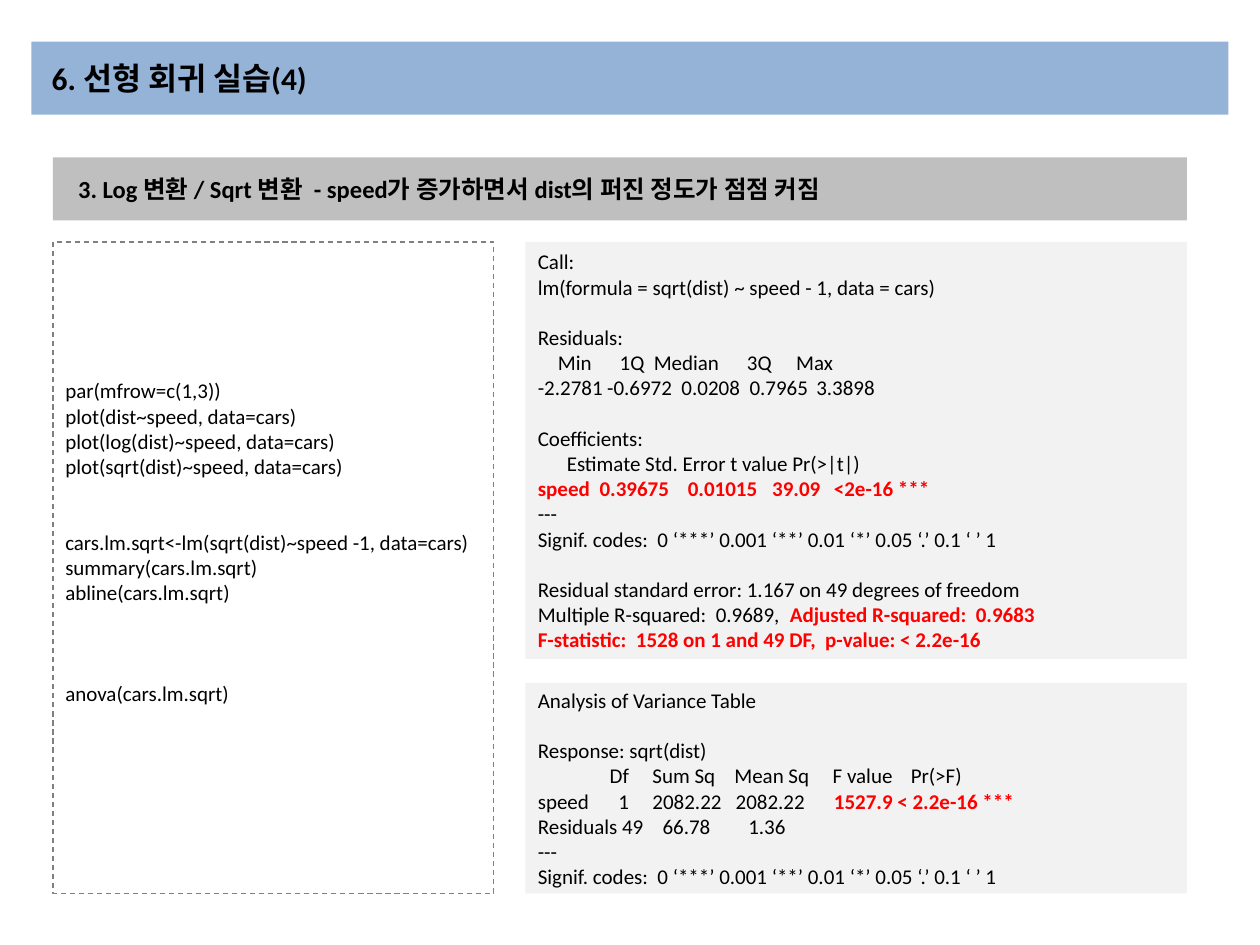
import pptx
import pptx.util
import pptx.dml.color
import pptx.enum.dml
import pptx.enum.shapes
import pptx.enum.text
import pptx.oxml.ns
import lxml.etree

Inches = pptx.util.Inches
Pt = pptx.util.Pt
RGBColor = pptx.dml.color.RGBColor
ANCHOR = pptx.enum.text.MSO_ANCHOR

BLUE = RGBColor(0x95, 0xB3, 0xD7)
SILVER = RGBColor(0xBF, 0xBF, 0xBF)
PALE = RGBColor(0xF2, 0xF2, 0xF2)
GRAY = RGBColor(0x80, 0x80, 0x80)
BLACK = RGBColor(0, 0, 0)
RED = RGBColor(0xFF, 0, 0)

LINE = 14.4  # height of one 12 pt line, in points
BODY = {"name": "Calibri", "size": Pt(12), "bold": False}
HEAD = {**BODY, "size": Pt(14), "bold": True}
TITLE = {**HEAD, "size": Pt(18)}
SIGNIF = "Signif. codes:  0 ‘***’ 0.001 ‘**’ 0.01 ‘*’ 0.05 ‘.’ 0.1 ‘ ’ 1"

# A line is (plain text, red text, tab stops); a number skips that many lines.
CODE = [
    ("par(mfrow=c(1,3))",),
    ("plot(dist~speed, data=cars)",),
    ("plot(log(dist)~speed, data=cars)",),
    ("plot(sqrt(dist)~speed, data=cars)",),
    2,
    ("cars.lm.sqrt<-lm(sqrt(dist)~speed -1, data=cars)",),
    ("summary(cars.lm.sqrt)",),
    ("abline(cars.lm.sqrt)",),
    3,
    ("anova(cars.lm.sqrt)",),
]
SUMMARY = [
    ("Call:",),
    ("lm(formula = sqrt(dist) ~ speed - 1, data = cars)",),
    1,
    ("Residuals:",),
    ("\tMin\t1Q\tMedian\t3Q\tMax", "", (0.16, 0.65, 0.92, 1.66, 2.05)),
    ("-2.2781\t-0.6972\t0.0208\t0.7965\t3.3898", "", (0.55, 1.14, 1.68, 2.21)),
    1,
    ("Coefficients:",),
    ("\tEstimate Std. Error t value Pr(>|t|)", "", (0.23,)),
    ("", "speed\t0.39675\t0.01015\t39.09\t<2e-16 ***", (0.49, 1.19, 1.86, 2.35)),
    ("---",),
    (SIGNIF,),
    1,
    ("Residual standard error: 1.167 on 49 degrees of freedom",),
    ("Multiple R-squared:  0.9689,\t", "Adjusted R-squared:  0.9683", (2,)),
    ("", "F-statistic:  1528 on 1 and 49 DF,  p-value: < 2.2e-16"),
]
ANOVA = [
    ("Analysis of Variance Table",),
    1,
    ("Response: sqrt(dist)",),
    ("\tDf\tSum Sq\tMean Sq\tF value\tPr(>F)", "", (0.57, 0.91, 1.56, 2.34, 2.96)),
    ("speed\t1\t2082.22\t2082.22\t", "1527.9 < 2.2e-16 ***", (0.64, 0.91, 1.57, 2.35)),
    ("Residuals 49\t66.78\t1.36", "", (0.99, 1.67)),
    ("---",),
    (SIGNIF,),
]


def add_tabs(para, stops):
    """Set left tab stops, in inches, on a paragraph."""
    qn = pptx.oxml.ns.qn
    tabs = lxml.etree.SubElement(para._p.get_or_add_pPr(), qn("a:tabLst"))
    for stop in stops:
        lxml.etree.SubElement(tabs, qn("a:tab"), pos=str(Inches(stop)), algn="l")


def add_run(para, text, style, color):
    run = para.add_run()
    run.text = text
    for key, value in style.items():
        setattr(run.font, key, value)
    run.font.color.rgb = color


def fill_text(frame, lines, style):
    """Write the lines, turning each skip into space before the next one."""
    para, skip = None, 0
    for line in lines:
        if isinstance(line, int):
            skip = line
            continue
        plain, red, stops = (line + ("", ()))[:3] if len(line) == 1 else (line + ((),))[:3]
        para = frame.add_paragraph() if para else frame.paragraphs[0]
        para.alignment = pptx.enum.text.PP_ALIGN.LEFT
        if skip:
            para.space_before = Pt(skip * LINE)
            skip = 0
        if stops:
            add_tabs(para, stops)
        for text, color in ((plain, BLACK), (red, RED)):
            if text:
                bold = style["bold"] or color == RED
                add_run(para, text, {**style, "bold": bold}, color)


def add_box(slide, box, lines, style, fill=None, **frame):
    """Add a rectangle with text; extra values go to its text frame."""
    rect = pptx.enum.shapes.MSO_SHAPE.RECTANGLE
    shape = slide.shapes.add_shape(rect, *map(Inches, box))
    shape.shadow.inherit = False
    shape.line.fill.background()
    if fill is None:
        shape.fill.background()
    else:
        shape.fill.solid()
        shape.fill.fore_color.rgb = fill
    base = {"word_wrap": True, "vertical_anchor": ANCHOR.MIDDLE}
    for key, value in {**base, **frame}.items():
        setattr(shape.text_frame, key, value)
    fill_text(shape.text_frame, lines, style)
    return shape


def add_title(slide, box):
    add_box(slide, box, [("6. 선형 회귀 실습(4)",)], TITLE, BLUE,
            margin_left=Inches(0.16))


def add_head(slide, box):
    text = "3. Log 변환 / Sqrt 변환  - speed가 증가하면서 dist의 퍼진 정도가 점점 커짐"
    add_box(slide, box, [(text,)], HEAD, SILVER, margin_left=Inches(0.2))


def add_code(slide, box):
    shape = add_box(slide, box, CODE, BODY, vertical_anchor=ANCHOR.TOP,
                    margin_top=Inches(1.08))
    shape.line.color.rgb = GRAY
    shape.line.width = Pt(0.75)
    shape.line.dash_style = pptx.enum.dml.MSO_LINE.DASH


def add_output(slide, box):
    """Stack the model summary above the variance table."""
    left, top, width, height = box
    upper, lower = 3.31, 1.67
    add_box(slide, (left, top, width, upper), SUMMARY, BODY, PALE)
    add_box(slide, (left, top + height - lower, width, lower), ANOVA, BODY, PALE)


def main():
    deck = pptx.Presentation()
    deck.slide_width, deck.slide_height = Inches(10), Inches(7.5)
    slide = deck.slides.add_slide(deck.slide_layouts[6])
    add_title(slide, (0.25, 0.33, 9.5, 0.58))
    add_code(slide, (0.42, 1.92, 3.5, 5.17))
    add_head(slide, (0.42, 1.25, 9, 0.5))
    add_output(slide, (4.17, 1.92, 5.25, 5.17))
    deck.save("out.pptx")


if __name__ == "__main__":
    main()
